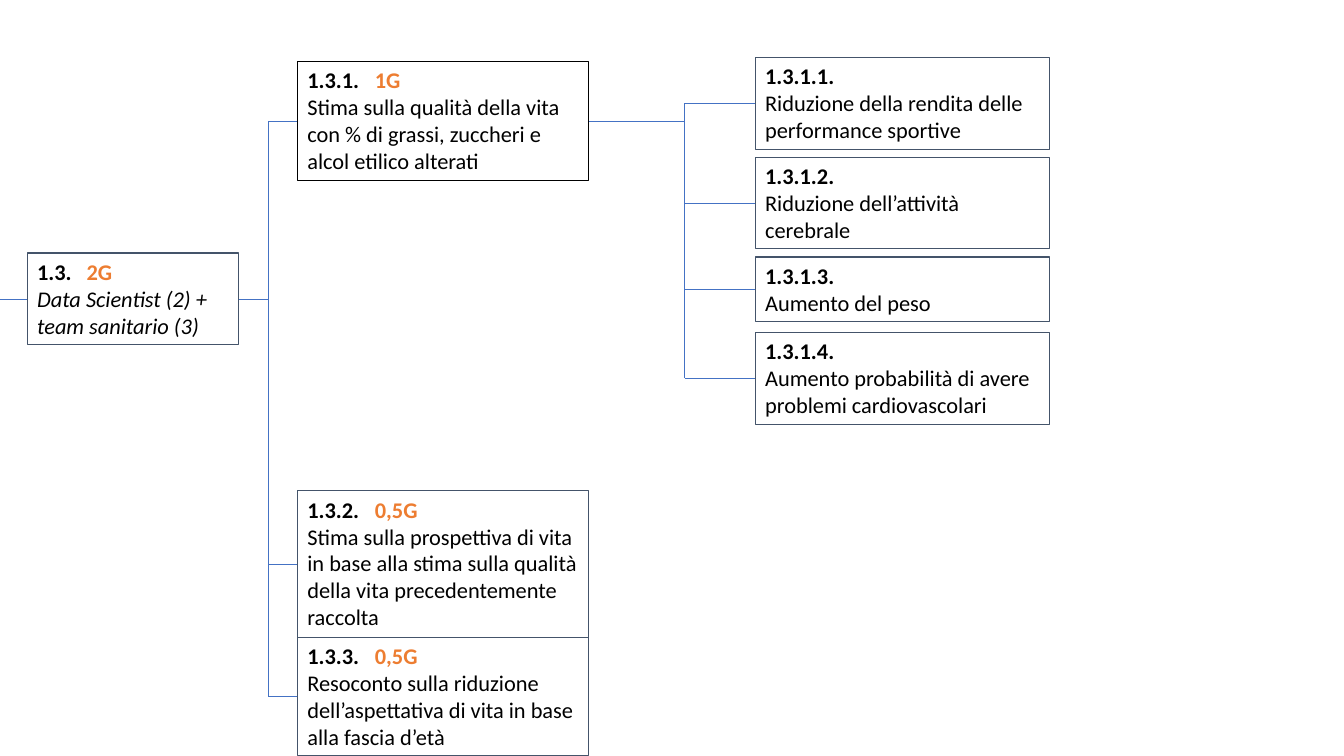
from dataclasses import dataclass

from lxml.etree import SubElement
from pptx import Presentation
from pptx.dml.color import RGBColor
from pptx.enum.shapes import MSO_CONNECTOR
from pptx.enum.text import MSO_AUTO_SIZE
from pptx.oxml.ns import qn
from pptx.util import Inches, Pt

COLORS = {"text": "000000", "effort": "ED7D31", "border": "44546A", "link": "4472C4"}


@dataclass
class Activity:
    code: str
    description: str
    left: float
    top: float
    width: float
    height: float
    effort: str = ""
    effort_tab: float = 0.67
    italic: bool = False
    border: str = "border"

    @property
    def right(self):
        return self.left + self.width

    @property
    def middle(self):
        return self.top + self.height / 2


def color(name):
    return RGBColor.from_string(COLORS[name])


def add_tab_stop(paragraph, position):
    tabs = SubElement(paragraph._p.get_or_add_pPr(), qn("a:tabLst"))
    SubElement(tabs, qn("a:tab"), pos=str(Inches(position)), algn="l")


def add_activity(slide, activity):
    box = slide.shapes.add_textbox(*map(Inches, (
        activity.left, activity.top, activity.width, activity.height)))
    box.line.color.rgb = color(activity.border)
    box.line.width = Pt(0.75)
    frame = box.text_frame
    frame.word_wrap = True
    frame.auto_size = MSO_AUTO_SIZE.SHAPE_TO_FIT_TEXT

    heading, description = frame.paragraphs[0], frame.add_paragraph()
    for paragraph in (heading, description):
        paragraph.font.name = "Calibri"
        paragraph.font.size = Pt(16)
    heading.font.bold = True
    description.font.italic = activity.italic

    # Code, then effort at a tab stop
    parts = [(activity.code, "text")]
    if activity.effort:
        add_tab_stop(heading, activity.effort_tab)
        parts = [(activity.code + "\t", "text"), (activity.effort, "effort")]
    for text, color_name in parts:
        run = heading.add_run()
        run.text = text
        run.font.color.rgb = color(color_name)

    description.add_run().text = activity.description
    description.font.color.rgb = color("text")


def add_link(slide, x1, y1, x2, y2):
    link = slide.shapes.add_connector(
        MSO_CONNECTOR.STRAIGHT, *map(Inches, (x1, y1, x2, y2)))
    link.line.color.rgb = color("link")
    link.line.width = Pt(0.5)
    SubElement(link._element.spPr, qn("a:effectLst"))


def add_branches(slide, parent, children, trunk):
    add_link(slide, parent.right, parent.middle, trunk, parent.middle)
    add_link(slide, trunk, children[0].middle, trunk, children[-1].middle)
    for child in children:
        add_link(slide, trunk, child.middle, child.left, child.middle)


def main():
    presentation = Presentation()
    presentation.slide_width = Inches(13.33)
    presentation.slide_height = Inches(7.5)
    slide = presentation.slides.add_slide(presentation.slide_layouts[6])

    # Root activity
    team = Activity("1.3.", "Data Scientist (2) + team sanitario (3)",
                    0.27, 2.51, 2.1, 0.91, "2G", 0.49, italic=True)

    # Second level: code, description, top, height, effort, border
    estimates = [
        Activity(code, description, 2.95, top, 2.89, height, effort, border=border)
        for code, description, top, height, effort, border in (
            ("1.3.1.", "Stima sulla qualità della vita con % di grassi, "
             "zuccheri e alcol etilico alterati", 0.61, 1.18, "1G", "text"),
            ("1.3.2.", "Stima sulla prospettiva di vita in base alla stima sulla "
             "qualità della vita precedentemente raccolta",
             4.87, 1.45, "0,5G", "border"),
            ("1.3.3.", "Resoconto sulla riduzione dell’aspettativa di vita in base "
             "alla fascia d’età", 6.32, 1.18, "0,5G", "border"),
        )
    ]

    # Third level: description, top, height
    effects = [
        Activity(f"1.3.1.{number}.", description, 7.49, top, 2.92, height)
        for number, (description, top, height) in enumerate((
            ("Riduzione della rendita delle performance sportive", 0.57, 0.91),
            ("Riduzione dell’attività cerebrale", 1.56, 0.91),
            ("Aumento del peso", 2.55, 0.64),
            ("Aumento probabilità di avere problemi cardiovascolari", 3.3, 0.91),
        ), start=1)
    ]

    for activity in [team, *estimates, *effects]:
        add_activity(slide, activity)

    # Links, the first one coming in from the slide edge
    add_link(slide, 0, team.middle, team.left, team.middle)
    add_branches(slide, team, estimates, trunk=2.66)
    add_branches(slide, estimates[0], effects, trunk=6.79)

    presentation.save("out.pptx")


main()
